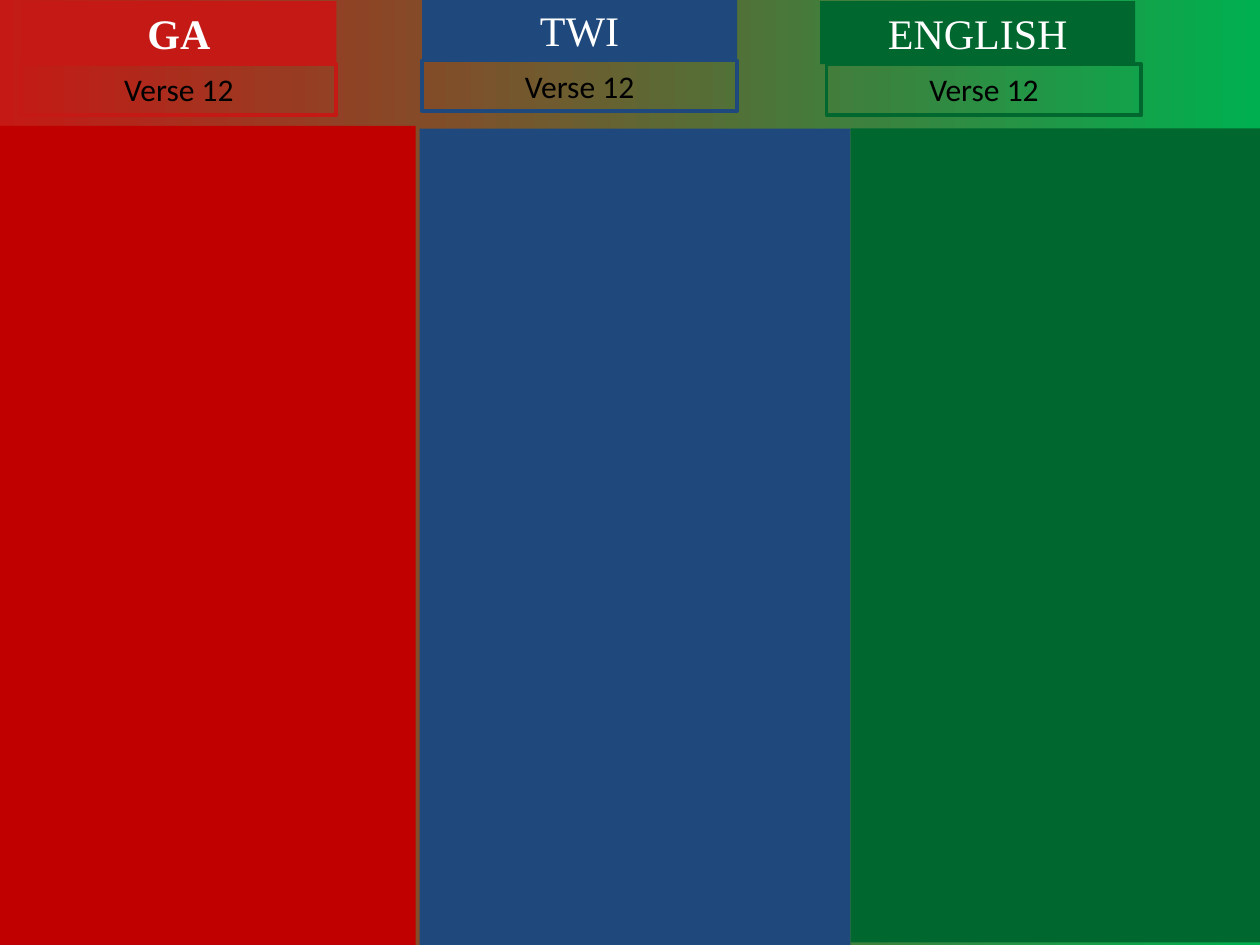
from dataclasses import dataclass

from pptx import Presentation
from pptx.dml.color import RGBColor
from pptx.enum.shapes import MSO_SHAPE
from pptx.enum.text import MSO_ANCHOR, MSO_AUTO_SIZE, PP_ALIGN
from pptx.util import Pt

RECTANGLE = MSO_SHAPE.RECTANGLE
TOP = MSO_ANCHOR.TOP
FIT_SHAPE = MSO_AUTO_SIZE.SHAPE_TO_FIT_TEXT
CENTER = PP_ALIGN.CENTER

COLORS = {
    "panel red": "C00000",
    "red": "C51915",
    "blue": "1F497D",
    "green": "00682F",
    "bright green": "00B050",
    "white": "FFFFFF",
    "black": "000000",
}
TAB_WIDTH = 180
HEADING_HEIGHT = 36
VERSE_HEIGHT = 29

# Language, bold, panel colour, tab colour, panel box, heading and verse corners
COLUMNS = [
    ("GA", True, "panel red", "red",
     (0, 72, 237.6, 468), (12.24, 0.72), (12.24, 36.72)),
    ("TWI", False, "blue", "blue",
     (239.76, 73.44, 246.24, 466.56), (241.2, -0.72), (241.2, 34.56)),
    ("ENGLISH", False, "green", "green",
     (486, 73.44, 236.88, 465.12), (468.72, 0.72), (472.32, 36.72)),
]


def rgb(name):
    return RGBColor.from_string(COLORS[name])


@dataclass
class VersePage:
    page: object
    heading_font: str = "Times New Roman"
    heading_size: float = 24
    verse_font: str = "Calibri"
    verse_size: float = 18
    border: float = 2.25

    def background(self, start, end):
        fill = self.page.background.fill
        fill.gradient()
        fill.gradient_angle = 0
        for stop, position, color in zip(fill.gradient_stops, (0, 1), (start, end)):
            stop.position = position
            stop.color.rgb = rgb(color)

    def rectangle(self, left, top, width, height, fill=None, line=None):
        box = self.page.shapes.add_shape(
            RECTANGLE, Pt(left), Pt(top), Pt(width), Pt(height))
        box.shadow.inherit = False
        if fill:
            box.fill.solid()
            box.fill.fore_color.rgb = rgb(fill)
        else:
            box.fill.background()
        if line:
            box.line.color.rgb = rgb(line)
            box.line.width = Pt(self.border)
        else:
            box.line.fill.background()
        return box

    def label(self, box, text, font, size, color, bold=False):
        frame = box.text_frame
        frame.word_wrap = True
        frame.vertical_anchor = TOP
        frame.auto_size = FIT_SHAPE
        frame.text = text
        para = frame.paragraphs[0]
        para.alignment = CENTER
        span = para.runs[0]
        span.font.name = font
        span.font.size = Pt(size)
        span.font.bold = bold
        span.font.color.rgb = rgb(color)

    def heading(self, corner, text, color, bold):
        box = self.rectangle(*corner, TAB_WIDTH, HEADING_HEIGHT, fill=color)
        self.label(box, text, self.heading_font, self.heading_size, "white", bold)

    def verse(self, corner, text, color):
        box = self.rectangle(*corner, TAB_WIDTH, VERSE_HEIGHT, line=color)
        self.label(box, text, self.verse_font, self.verse_size, "black")


def main():
    deck = Presentation()
    deck.slide_width, deck.slide_height = Pt(720), Pt(540)
    blank_layout = deck.slide_layouts[6]
    verses = VersePage(deck.slides.add_slide(blank_layout))
    verses.background("red", "bright green")
    for language, bold, panel_color, tab_color, panel, heading, verse in COLUMNS:
        verses.rectangle(*panel, fill=panel_color)
        verses.heading(heading, language, tab_color, bold)
        verses.verse(verse, "Verse 12", tab_color)
    deck.save("out.pptx")


if __name__ == "__main__":
    main()
